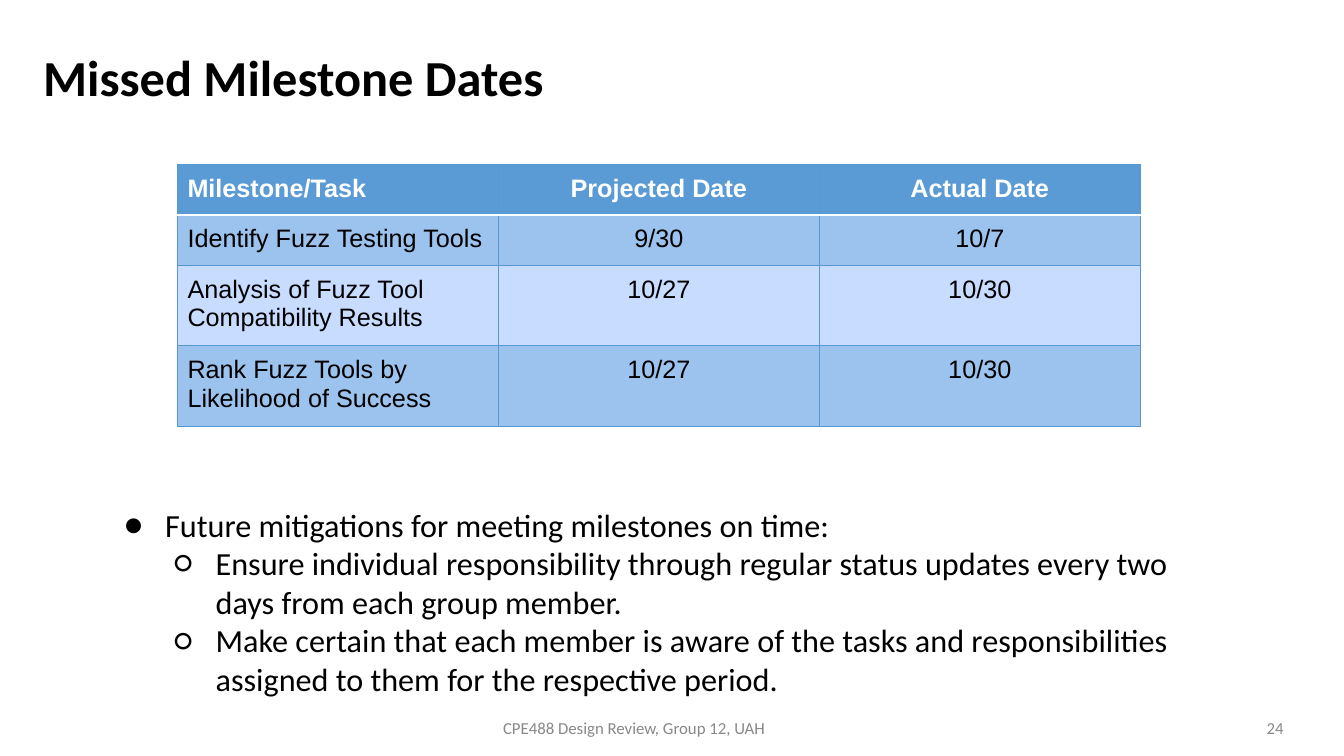
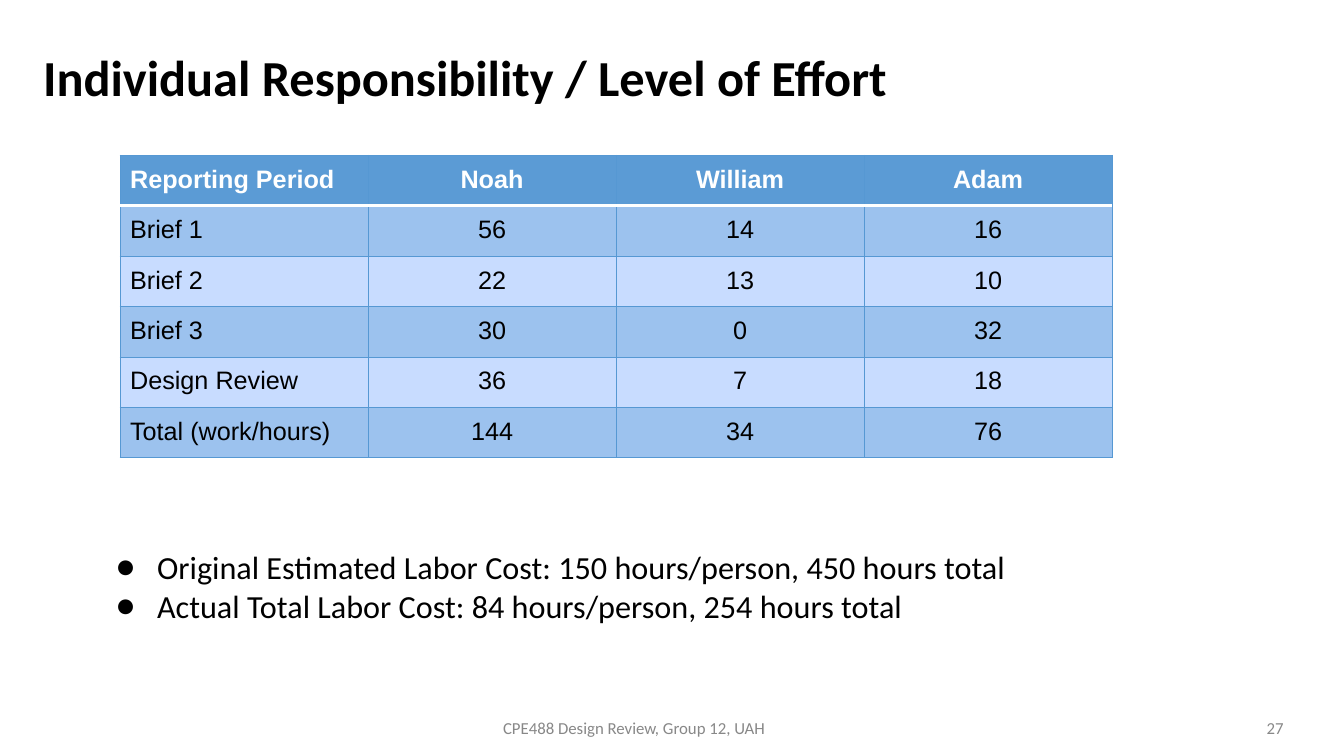
from dataclasses import dataclass

from lxml import etree
from pptx import Presentation
from pptx import util as u
from pptx.dml.color import RGBColor
from pptx.enum import text
from pptx.oxml.ns import qn

ALIGN, ANCHOR = text.PP_ALIGN, text.MSO_ANCHOR


@dataclass(frozen=True)
class Theme:
    body_font: str = "Calibri"
    table_font: str = "Arial"
    title_size: int = 36
    bullet_size: int = 23
    table_size: int = 18
    footer_size: int = 12
    ink: str = "000000"
    muted: str = "888888"
    paper: str = "FFFFFF"
    header: str = "5B9BD5"
    bands: tuple = ("9CC2EE", "C8DCFF")
    grid: str = "5698D3"


THEME = Theme()
FOOTER = "CPE488 Design Review, Group 12, UAH"
BULLETS = ("●", "○")
ROW_HEIGHT = 48

SLIDES = [
    dict(
        title="Missed Milestone Dates",
        number="24",
        table_at=(176, 163, 955),
        rows=[
            ("Milestone/Task", "Projected Date", "Actual Date"),
            ("Identify Fuzz Testing Tools", "9/30", "10/7"),
            ("Analysis of Fuzz Tool Compatibility Results", "10/27", "10/30"),
            ("Rank Fuzz Tools by Likelihood of Success", "10/27", "10/30"),
        ],
        bullets_at=(104, 491, 1125, 217),
        bullets=[
            (0, "Future mitigations for meeting milestones on time:"),
            (1, "Ensure individual responsibility through regular status updates "
                "every two days from each group member."),
            (1, "Make certain that each member is aware of the tasks and "
                "responsibilities assigned to them for the respective period."),
        ],
    ),
    dict(
        title="Individual Responsibility / Level of Effort",
        number="27",
        table_at=(119, 154, 984),
        rows=[
            ("Reporting Period", "Noah", "William", "Adam"),
            ("Brief 1", "56", "14", "16"),
            ("Brief 2", "22", "13", "10"),
            ("Brief 3", "30", "0", "32"),
            ("Design Review", "36", "7", "18"),
            ("Total (work/hours)", "144", "34", "76"),
        ],
        bullets_at=(96, 533, 1125, 162),
        bullets=[
            (0, "Original Estimated Labor Cost: 150 hours/person, 450 hours total"),
            (0, "Actual Total Labor Cost: 84 hours/person, 254 hours total"),
        ],
    ),
]


def px(n):
    """Convert layout pixels (100 to the inch) to EMU."""
    return u.Emu(int(n * 9144))


def style_runs(p, font, size, color, bold=False):
    for r in p.runs:
        r.font.name, r.font.size, r.font.bold = font, u.Pt(size), bold
        r.font.color.rgb = RGBColor.from_string(color)


def add_box(slide, at, pad_y, anchor):
    tf = slide.shapes.add_textbox(*map(px, at)).text_frame
    tf.word_wrap = True
    tf.vertical_anchor = anchor
    tf.margin_left = tf.margin_right = px(10)
    tf.margin_top = tf.margin_bottom = px(pad_y)
    return tf


def add_line(slide, at, words, size, color, align, bold=False):
    """Add one vertically centred line of text."""
    p = add_box(slide, at, 5, ANCHOR.MIDDLE).paragraphs[0]
    p.text, p.alignment = words, align
    style_runs(p, THEME.body_font, size, color, bold)
    return p


def add_solid(parent, color):
    fill = etree.SubElement(parent, qn("a:solidFill"))
    etree.SubElement(fill, qn("a:srgbClr"), val=color)


def set_bullet(p, level):
    p.level = level
    pPr = p._p.get_or_add_pPr()
    pPr.set("marL", str(px(50 * (level + 1))))
    pPr.set("indent", str(px(-41)))
    color = etree.SubElement(pPr, qn("a:buClr"))
    etree.SubElement(color, qn("a:srgbClr"), val=THEME.ink)
    etree.SubElement(pPr, qn("a:buFont"), typeface=THEME.body_font)
    etree.SubElement(pPr, qn("a:buChar"), char=BULLETS[level])


def add_bullets(slide, at, items):
    tf = add_box(slide, at, 10, ANCHOR.TOP)
    for i, (level, words) in enumerate(items):
        p = tf.add_paragraph() if i else tf.paragraphs[0]
        p.text = words
        set_bullet(p, level)
        style_runs(p, THEME.body_font, THEME.bullet_size, THEME.ink)


def set_borders(cell, row):
    """Draw the grid, with a heavier rule between header and body."""
    tcPr = cell._tc.get_or_add_tcPr()
    for side in "LRTB":
        under_header = (row, side) in ((0, "B"), (1, "T"))
        color, width = (THEME.paper, 2) if under_header else (THEME.grid, 0.75)
        ln = etree.SubElement(tcPr, qn(f"a:ln{side}"), w=str(u.Pt(width)))
        add_solid(ln, color)


def fill_cell(cell, words, row, col):
    is_header = row == 0
    cell.margin_left = cell.margin_right = px(10)
    cell.margin_top = cell.margin_bottom = px(10)
    set_borders(cell, row)
    cell.fill.solid()
    cell.fill.fore_color.rgb = RGBColor.from_string(
        THEME.header if is_header else THEME.bands[(row - 1) % 2])
    p = cell.text_frame.paragraphs[0]
    p.text = words
    p.alignment = ALIGN.CENTER if col else ALIGN.LEFT
    style_runs(p, THEME.table_font, THEME.table_size,
               THEME.paper if is_header else THEME.ink, is_header)


def add_grid(slide, at, rows):
    left, top, width = at
    n_cols = len(rows[0])
    table = slide.shapes.add_table(
        len(rows), n_cols, px(left), px(top), px(width),
        px(ROW_HEIGHT * len(rows))).table
    table.horz_banding = False
    for column in table.columns:
        column.width = px(width / n_cols)
    for i, row in enumerate(rows):
        table.rows[i].height = px(ROW_HEIGHT)
        for j, words in enumerate(row):
            fill_cell(table.cell(i, j), words, i, j)


def add_frame(slide, title, number):
    """Add the title, footer and page number that every slide has."""
    p = add_line(slide, (33, 34, 1250, 91), title, THEME.title_size,
                 THEME.ink, ALIGN.LEFT, bold=True)
    p.line_spacing = 0.9
    for at, words, align in (((33, 708, 1192, 28), FOOTER, ALIGN.CENTER),
                             ((1233, 708, 50, 28), number, ALIGN.RIGHT)):
        add_line(slide, at, words, THEME.footer_size, THEME.muted, align)


def main():
    prs = Presentation()
    prs.slide_width, prs.slide_height = px(1333), px(750)
    for content in SLIDES:
        slide = prs.slides.add_slide(prs.slide_layouts[6])
        add_frame(slide, content["title"], content["number"])
        add_bullets(slide, content["bullets_at"], content["bullets"])
        add_grid(slide, content["table_at"], content["rows"])
    prs.save("out.pptx")


if __name__ == "__main__":
    main()
